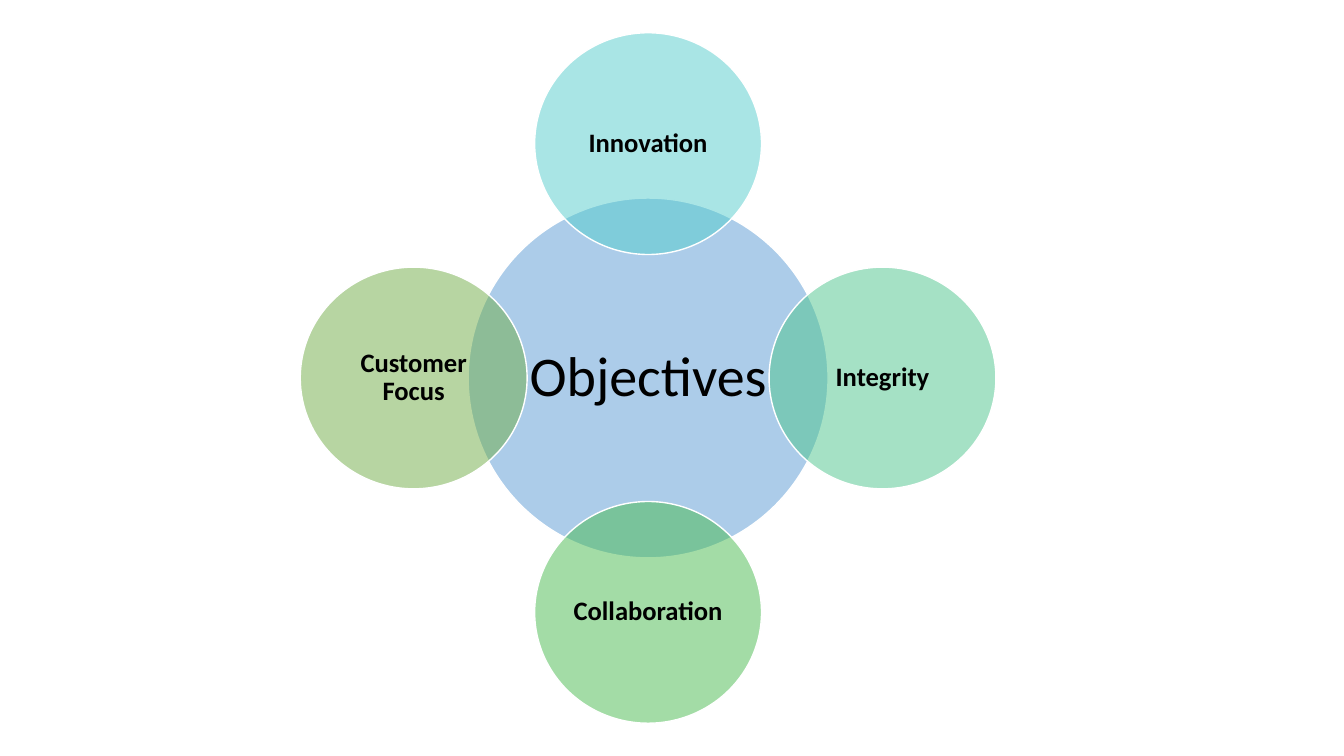
from dataclasses import dataclass

from lxml.etree import SubElement
from pptx import Presentation
from pptx.dml.color import RGBColor as RGB
from pptx.enum.shapes import MSO_SHAPE as SHAPE
from pptx.enum.text import MSO_ANCHOR as ANCHOR, PP_ALIGN as ALIGN
from pptx.oxml.ns import qn
from pptx.util import Inches, Pt


@dataclass(frozen=True)
class Theme:
    font: str = "Calibri"
    text: str = "000000"
    outline: str = "FFFFFF"
    hub: str = "5B9BD5"
    innovation: str = "54CCCD"
    integrity: str = "4DC58D"
    collaboration: str = "48BB4F"
    focus: str = "70AD47"
    opacity: int = 50
    hub_size: int = 40
    value_size: int = 19


class Diagram:
    """Draws on one slide; lengths are percentages of its width and height."""

    def __init__(self, prs, theme):
        self.prs, self.theme = prs, theme
        self.slide = prs.slides.add_slide(prs.slide_layouts[6])

    def x(self, share):
        return round(self.prs.slide_width * share / 100)

    def y(self, share):
        return round(self.prs.slide_height * share / 100)

    def circle(self, text, center, size, color, pt, inset, bold=False):
        (cx, cy), (w, h) = center, size
        sp = self.slide.shapes.add_shape(
            SHAPE.OVAL, self.x(cx - w / 2), self.y(cy - h / 2), self.x(w), self.y(h))
        sp.shadow.inherit = False

        # Translucent fill and thin outline
        sp.fill.solid()
        sp.fill.fore_color.rgb = RGB.from_string(color)
        clr = sp.fill._xPr.find(qn("a:solidFill"))[0]
        SubElement(clr, qn("a:alpha"), val=str(self.theme.opacity * 1000))
        sp.line.color.rgb = RGB.from_string(self.theme.outline)
        sp.line.width = Pt(1)
        self.label(sp.text_frame, text, pt, inset, bold)

    def label(self, tf, text, pt, inset, bold):
        tf.text = text
        tf.word_wrap = True
        tf.vertical_anchor = ANCHOR.MIDDLE
        tf.margin_left = tf.margin_right = Inches(inset)
        tf.margin_top = tf.margin_bottom = Inches(inset)
        p = tf.paragraphs[0]
        p.alignment = ALIGN.CENTER
        p.line_spacing = 0.9
        font = p.runs[0].font
        font.name, font.size, font.bold = self.theme.font, Pt(pt), bold
        font.color.rgb = RGB.from_string(self.theme.text)


def main():
    prs = Presentation()
    prs.slide_width, prs.slide_height = Inches(13.33), Inches(7.5)
    theme = Theme()
    diagram = Diagram(prs, theme)

    # Central circle
    cx, cy = 48.22, 50
    diagram.circle("Objectives", (cx, cy), (26.78, 47.6),
                   theme.hub, theme.hub_size, 0.06)

    # Four values around it, clockwise from the top
    reach_x, reach_y = 17.44, 31
    values = [
        ("Innovation", 0, -1, theme.innovation),
        ("Integrity", 1, 0, theme.integrity),
        ("Collaboration", 0, 1, theme.collaboration),
        ("Customer Focus", -1, 0, theme.focus),
    ]
    for text, dx, dy, color in values:
        center = cx + dx * reach_x, cy + dy * reach_y
        diagram.circle(text, center, (16.88, 29.33),
                       color, theme.value_size, 0.03, bold=True)

    prs.save("out.pptx")


if __name__ == "__main__":
    main()
